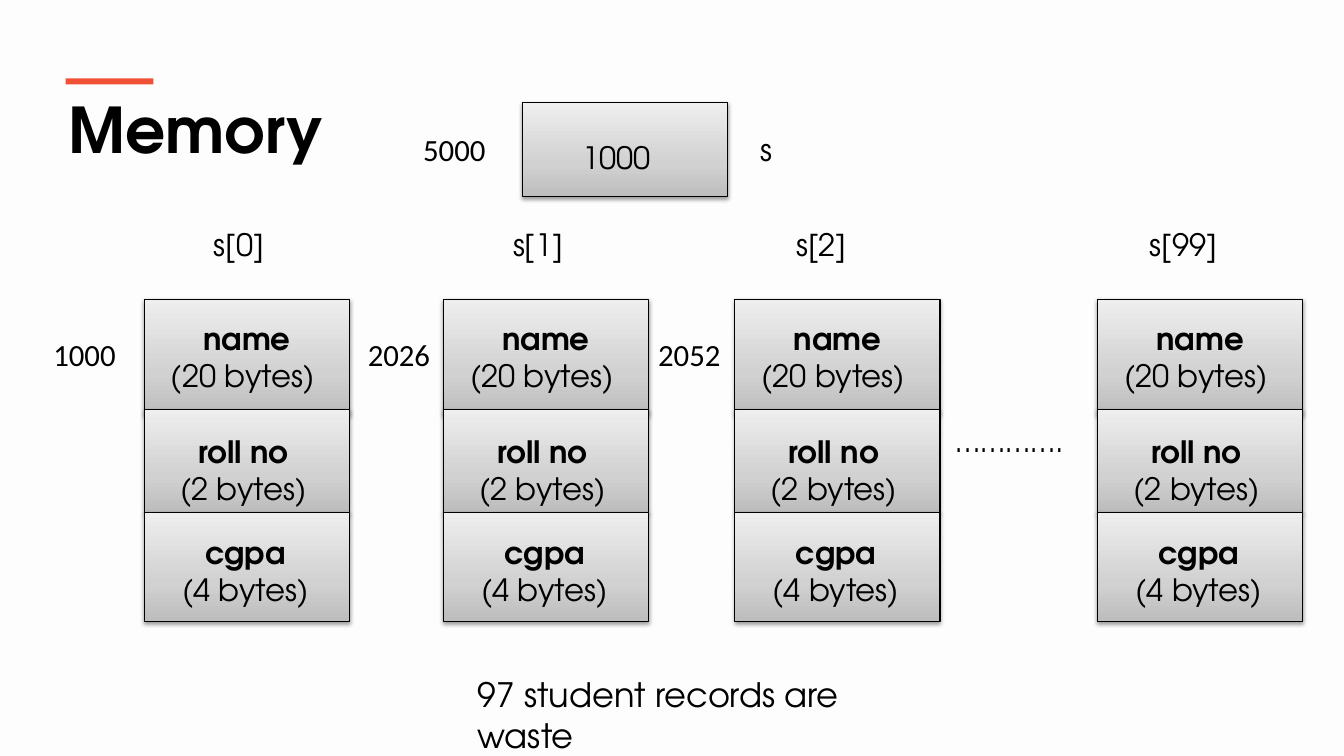
from dataclasses import dataclass

from lxml.etree import SubElement
from pptx import Presentation
from pptx.dml.color import RGBColor
from pptx.enum.shapes import MSO_SHAPE
from pptx.enum.text import MSO_ANCHOR, MSO_AUTO_SIZE, PP_ALIGN
from pptx.oxml.ns import qn
from pptx.util import Pt


@dataclass(frozen=True)
class Theme:
    """Colours, fonts and type sizes of the slide."""
    background: str = "FDFDFD"
    ink: str = "000000"
    accent: str = "F05136"
    gradient: tuple = ((0, "BDBDBD"), (35, "D1D1D1"), (100, "EEEEEE"))
    font: str = "TeX Gyre Adventor"
    address_font: str = "Calibri"
    title_size: int = 45
    note_size: int = 24
    body_size: int = 22


THEME = Theme()
CELL_WIDTH = 146.5
LABEL_SIZE = (112.3, 34)
ADDRESS_SIZE = (77.8, 34)
FIELDS = (
    ("name", "(20 bytes) ", 213.8, 82, 11.3, 224.6, 123.8),
    ("roll no", "(2 bytes) ", 292.3, 73.5, 17.3, 305.3, 106.6),
    ("cgpa", "(4 bytes) ", 365.8, 77.8, 17.3, 378, 109.4),
)
RECORDS = (
    ("s[0]", 103.2, 114.5),
    ("s[1]", 316.8, 328.3),
    ("s[2]", 525, 530.6),
    ("s[99]", 784, 789.1),
)
ADDRESSES = (
    ("1000", 31, 236.2),
    ("2026", 255.6, 236.2),
    ("2052", 463, 236.2),
    ("5000", 295.2, 90),
)


def write(frame, text, size=THEME.body_size, font=THEME.font,
          align=PP_ALIGN.LEFT, bold_first=False):
    """Fill a text frame with one paragraph per line of text."""
    frame.word_wrap = True
    frame.text = text
    for index, para in enumerate(frame.paragraphs):
        para.alignment = align
        para.font.size = Pt(size)
        para.font.name = font
        para.font.bold = bold_first and index == 0
        para.font.color.rgb = RGBColor.from_string(THEME.ink)


def add_text(slide, text, left, top, width, height, **text_format):
    """Add a text box that grows with its text."""
    box = slide.shapes.add_textbox(Pt(left), Pt(top), Pt(width), Pt(height))
    write(box.text_frame, text, **text_format)
    box.text_frame.auto_size = MSO_AUTO_SIZE.SHAPE_TO_FIT_TEXT


def add_rectangle(slide, left, top, width, height):
    """Add a rectangle without a theme shadow."""
    box = slide.shapes.add_shape(
        MSO_SHAPE.RECTANGLE, Pt(left), Pt(top), Pt(width), Pt(height))
    box.shadow.inherit = False
    return box


def add_cell(slide, left, top, height):
    """Add a memory cell with a grey gradient and a soft shadow."""
    cell = add_rectangle(slide, left, top, CELL_WIDTH, height)
    cell.line.color.rgb = RGBColor.from_string(THEME.ink)
    cell.line.width = Pt(0.75)
    cell.fill.gradient()
    cell.fill.gradient_angle = 90
    properties = cell.element.spPr
    stops = properties.find(".//" + qn("a:gsLst"))
    for stop in list(stops):
        stops.remove(stop)
    for position, color in THEME.gradient:
        stop = SubElement(stops, qn("a:gs"), pos=str(position * 1000))
        SubElement(stop, qn("a:srgbClr"), val=color)
    shadow = SubElement(
        properties.find(qn("a:effectLst")), qn("a:outerShdw"),
        blurRad=str(Pt(3.1)), dist=str(Pt(1.6)), dir="5400000", rotWithShape="0")
    color = SubElement(shadow, qn("a:srgbClr"), val=THEME.ink)
    SubElement(color, qn("a:alpha"), val="38000")


def add_title(slide, text):
    """Place the title and its accent bar."""
    title = slide.shapes.title
    title.left, title.top, title.width, title.height = (
        Pt(41.8), Pt(60.5), Pt(877), Pt(62))
    write(title.text_frame, text, size=THEME.title_size, bold_first=True)
    title.text_frame.vertical_anchor = MSO_ANCHOR.MIDDLE
    title.text_frame.auto_size = MSO_AUTO_SIZE.NONE
    bar = add_rectangle(slide, 46.8, 56, 62.8, 4.3)
    bar.fill.solid()
    bar.fill.fore_color.rgb = RGBColor.from_string(THEME.accent)
    bar.line.fill.background()


def add_record(slide, label, left, label_left):
    """Add one labelled student record with its three fields."""
    for top, height in (field[2:4] for field in FIELDS):
        add_cell(slide, left, top, height)
    for name, byte_count, _, _, inset, text_top, text_width in FIELDS:
        add_text(slide, f"{name}\n{byte_count}", left + inset, text_top,
                 text_width, 60.5, align=PP_ALIGN.CENTER, bold_first=True)
    add_text(slide, label, label_left, 157.7, *LABEL_SIZE, align=PP_ALIGN.CENTER)


def main():
    """Build the slide and save the deck."""
    deck = Presentation()
    deck.slide_width, deck.slide_height = Pt(960), Pt(540)
    slide = deck.slides.add_slide(deck.slide_layouts[5])
    slide.background.fill.solid()
    slide.background.fill.fore_color.rgb = RGBColor.from_string(THEME.background)
    add_title(slide, "Memory")
    for record in RECORDS:
        add_record(slide, *record)
    add_cell(slide, 373, 73.2, 67.5)
    for text, left, top in (("s", 491, 90), ("1000", 384.5, 95.8),
                            ("………….", 665.3, 298)):
        add_text(slide, text, left, top, *LABEL_SIZE, align=PP_ALIGN.CENTER)
    for text, left, top in ADDRESSES:
        add_text(slide, text, left, top, *ADDRESS_SIZE, font=THEME.address_font)
    add_text(slide, "97 student records are waste", 334, 478, 336, 36,
             size=THEME.note_size)
    deck.save("out.pptx")


if __name__ == "__main__":
    main()
